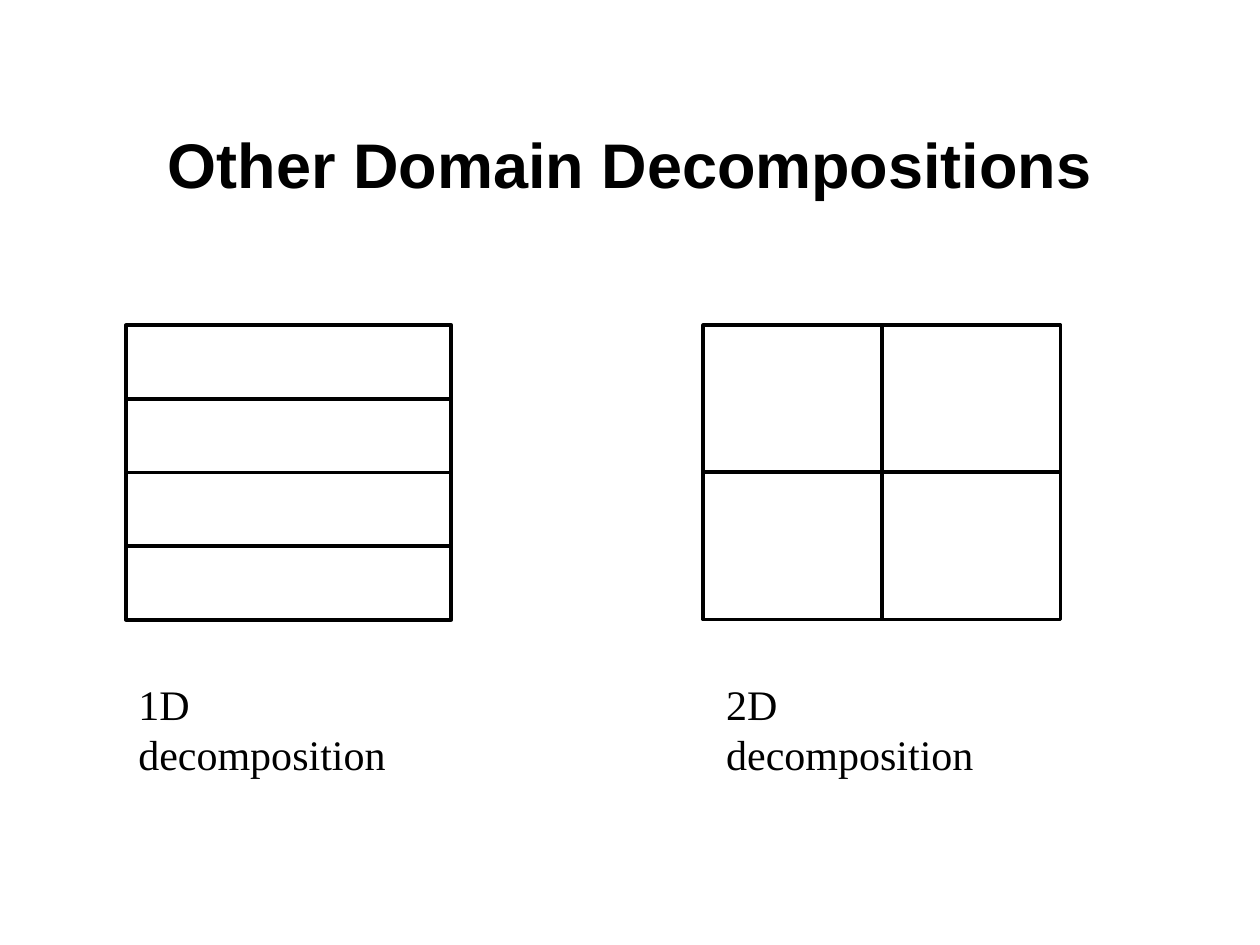
from pptx import Presentation
from pptx import util as u
from pptx.dml.color import RGBColor
from pptx.enum import shapes, text

BLACK = RGBColor(0x00, 0x00, 0x00)
TITLE_ONLY = 5
GRID_TOP, GRID_HEIGHT = 6.56, 5.93


def write(frame, words, font, size, bold=False, align=text.PP_ALIGN.LEFT):
    para = frame.paragraphs[0]
    para.alignment = align
    span = para.add_run()
    span.text = words
    span.font.name = font
    span.font.size = u.Pt(size)
    span.font.bold = bold
    span.font.color.rgb = BLACK


def set_title(page, words):
    title = page.shapes.title
    title.left, title.top = u.Cm(1.9), u.Cm(1.7)
    title.width, title.height = u.Cm(21.6), u.Cm(3.18)
    title.text_frame.vertical_anchor = text.MSO_ANCHOR.MIDDLE
    write(title.text_frame, words, "Arial", 36, True, text.PP_ALIGN.CENTER)


def add_domain(page, left, width, rows, columns):
    """Group equal rectangles that split one domain into rows and columns."""
    group = page.shapes.add_group_shape()
    cell_width, cell_height = width / columns, GRID_HEIGHT / rows
    for row in range(rows):
        for column in range(columns):
            cell = group.shapes.add_shape(
                shapes.MSO_SHAPE.RECTANGLE,
                u.Cm(left + column * cell_width),
                u.Cm(GRID_TOP + row * cell_height),
                u.Cm(cell_width), u.Cm(cell_height))
            cell.shadow.inherit = False
            cell.fill.background()
            cell.line.color.rgb = BLACK
            cell.line.width = u.Pt(2.25)


def add_caption(page, left, words):
    box = page.shapes.add_textbox(u.Cm(left), u.Cm(13.55), u.Cm(6.73), u.Cm(1.27))
    box.text_frame.word_wrap = False
    box.text_frame.auto_size = text.MSO_AUTO_SIZE.SHAPE_TO_FIT_TEXT
    write(box.text_frame, words, "Times New Roman", 24)


def main():
    deck = Presentation()
    deck.slide_width, deck.slide_height = u.Cm(25.4), u.Cm(19.05)
    page = deck.slides.add_slide(deck.slide_layouts[TITLE_ONLY])
    set_title(page, "Other Domain Decompositions")

    # Domain split into strips, then into blocks
    add_domain(page, 2.54, 6.56, rows=4, columns=1)
    add_domain(page, 14.18, 7.2, rows=2, columns=2)

    # Captions below the domains
    add_caption(page, 14.39, "2D decomposition")
    add_caption(page, 2.54, "1D decomposition")
    deck.save("out.pptx")


if __name__ == "__main__":
    main()
